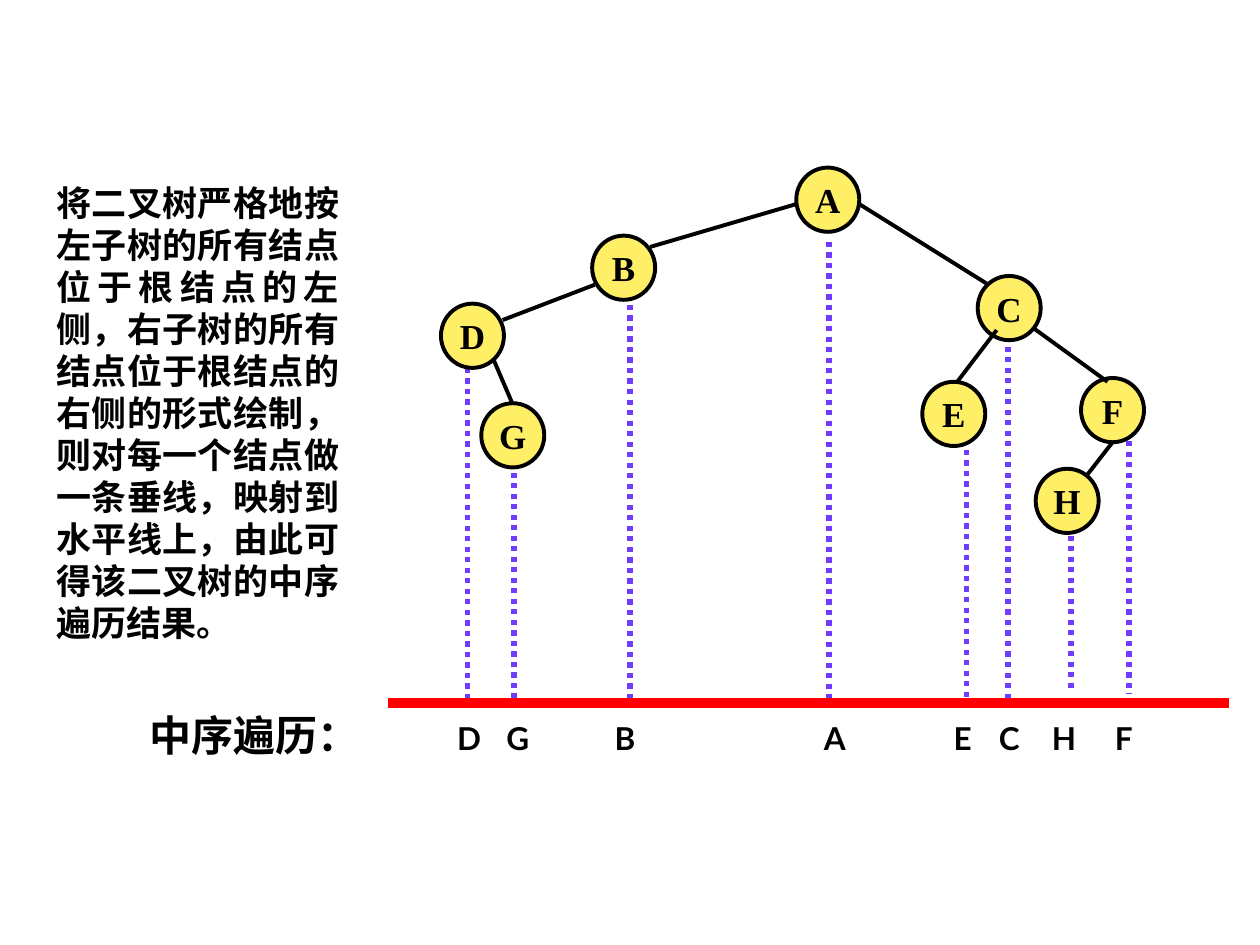
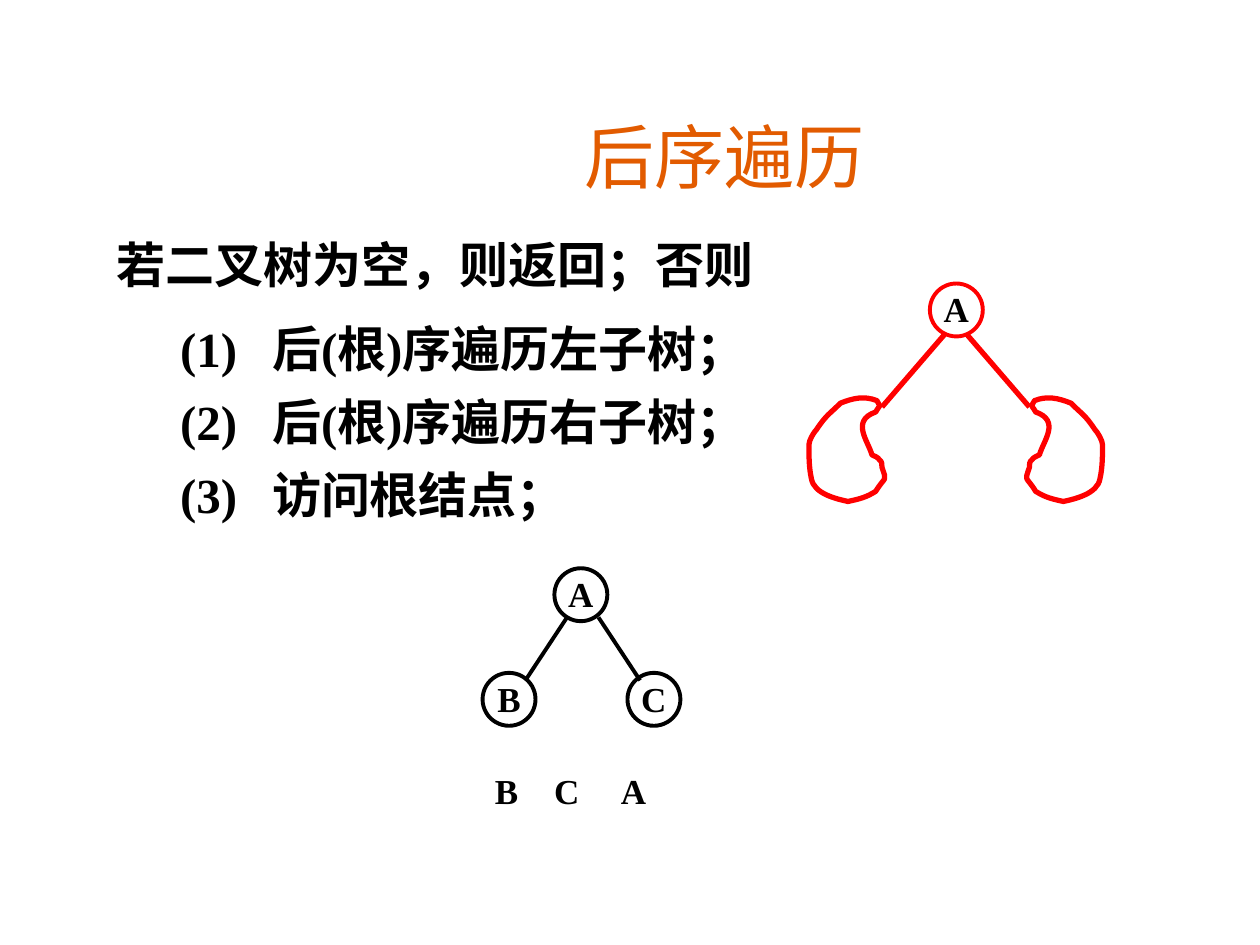
from lxml import etree
from pptx import Presentation
from pptx import util as u
from pptx.dml.color import RGBColor
from pptx.enum import dml, shapes, text
from pptx.oxml.ns import qn

PX = 9144  # EMU in one px: 100 px to the inch
BLACK = RGBColor(0x00, 0x00, 0x00)
RED = RGBColor(0xFF, 0x00, 0x00)
VIOLET = RGBColor(0x70, 0x3D, 0xFF)
YELLOW = RGBColor(0xFF, 0xEF, 0x66)
ORANGE = RGBColor(0xE2, 0x5B, 0x00)
SERIF, SANS, COMIC, CJK = "Times New Roman", "Lato", "Comic Neue", "Noto Sans CJK SC"

# Content of slide 1: inorder traversal by projection
EXPLANATION = ("将二叉树严格地按左子树的所有结点位于根结点的左侧，右子树的所有结点位于根结点的"
               "右侧的形式绘制，则对每一个结点做一条垂线，映射到水平线上，由此可得该二叉树的"
               "中序遍历结果。")
RESULT_TITLE = "中序遍历："
TREE_NODES = {"A": (632, 133), "B": (470, 187), "C": (776, 219), "D": (350, 241),
              "G": (382, 320), "E": (732, 303), "F": (858, 300), "H": (822, 372)}
TREE_EDGES = [(472, 226, 399, 254), (392, 286, 407, 321), (632, 162, 516, 196),
              (682, 162, 783, 225), (791, 262, 759, 304), (821, 261, 879, 303),
              (883, 351, 862, 378)]
# letter, left of its label, x of the dotted line, top and bottom of the line
PROJECTIONS = [("D", 353, 371, 292, 554), ("G", 392, 408, 375, 555),
               ("B", 478, 500, 242, 556), ("A", 644, 658, 192, 554),
               ("E", 747, 767, 357, 557), ("C", 783, 800, 275, 558),
               ("H", 825, 850, 425, 550), ("F", 875, 896, 350, 551)]

# Content of slide 2: postorder traversal
TITLE = "后序遍历"
CONDITION = "若二叉树为空，则返回；否则"
STEPS = ["(1)\t后(根)序遍历左子树；", "(2)\t后(根)序遍历右子树；", "(3)\t访问根结点；"]
SMALL_NODES = {"A": (440, 451), "B": (383, 534), "C": (498, 534)}
SMALL_EDGES = [(417, 540, 450, 490), (475, 490, 508, 540)]
VISIT_ORDER = "B\tC\tA"
ROOT = ("A", 738, 225)
BRANCH = (700, 323, 750, 265)
MIRROR = 1517  # x of the right subtree = MIRROR - x of the left one
SUBTREE_START = (696, 318)
SUBTREE_CURVES = [  # two control points and the end of each curve
    ((686, 314), (677, 316), (667, 320)), ((658, 329), (656, 329), (648, 341)),
    ((646, 343), (644, 347), (644, 347)), ((643, 349), (642, 351), (642, 353)),
    ((642, 362), (642, 371), (644, 380)), ((646, 392), (664, 396), (673, 398)),
    ((682, 396), (687, 395), (695, 390)), ((703, 377), (704, 383), (700, 371)),
    ((700, 369), (700, 366), (698, 365)), ((697, 363), (694, 362), (692, 361)),
    ((689, 350), (675, 334), (695, 327)), ((699, 320), (699, 324), (696, 318))]


def write(tf, paragraphs, *, size, font=SERIF, color=BLACK, bold=True, align=None,
          anchor=text.MSO_ANCHOR.TOP, wrap=True, gap=0, tabs=(), hang=None):
    """Fill a text frame with paragraphs in one format."""
    tf.word_wrap = wrap
    tf.auto_size = text.MSO_AUTO_SIZE.NONE
    tf.vertical_anchor = anchor
    for i, line in enumerate(paragraphs):
        p = tf.paragraphs[0] if i == 0 else tf.add_paragraph()
        p.text = line
        p.alignment = align
        p.space_before = u.Pt(gap if i else 0)
        pPr = p._p.get_or_add_pPr()
        pPr.set("hangingPunct", "0")
        if hang:
            pPr.set("marL", str(hang * PX))
            pPr.set("indent", str(-hang * PX))
            etree.SubElement(pPr, qn("a:buNone"))
        if tabs:
            tab_list = etree.SubElement(pPr, qn("a:tabLst"))
            for x in tabs:
                etree.SubElement(tab_list, qn("a:tab"), pos=str(x * PX), algn="l")
        for r in p.runs:
            r.font.size, r.font.bold, r.font.name = u.Pt(size), bold, font
            r.font.color.rgb = color


def place(sp, x, y, w, h):
    sp.left, sp.top, sp.width, sp.height = (v * PX for v in (x, y, w, h))


def add_text(s, box, content, **fmt):
    sp = s.shapes.add_textbox(*(v * PX for v in box))
    write(sp.text_frame, [content], **fmt)


def add_line(s, ends, color=BLACK, width=2.25, dash=None):
    cn = s.shapes.add_connector(shapes.MSO_CONNECTOR.STRAIGHT, *(v * PX for v in ends))
    cn.line.color.rgb = color
    cn.line.width = u.Pt(width)
    if dash:
        cn.line.dash_style = dash
    etree.SubElement(cn._element.spPr, qn("a:effectLst"))


def add_node(s, letter, x, y, w, h, fill=None, line=BLACK, lift=0):
    sp = s.shapes.add_shape(shapes.MSO_SHAPE.OVAL, *(v * PX for v in (x, y, w, h)))
    sp.shadow.inherit = False
    if fill is None:
        sp.fill.background()
    else:
        sp.fill.solid()
        sp.fill.fore_color.rgb = fill
    sp.line.color.rgb = line
    sp.line.width = u.Pt(2.25)
    tf = sp.text_frame
    tf.margin_top, tf.margin_bottom = 0, 2 * lift * PX
    write(tf, [letter], size=20, align=text.PP_ALIGN.CENTER,
          anchor=text.MSO_ANCHOR.MIDDLE, wrap=False)


def bend(sp):
    """Turn each three segments of a freeform into one cubic curve."""
    segments = list(sp._element.iter(qn("a:lnTo")))
    for i in range(0, len(segments), 3):
        curve = etree.Element(qn("a:cubicBezTo"))
        segments[i].addprevious(curve)
        for segment in segments[i:i + 3]:
            curve.append(segment[0])
            segment.getparent().remove(segment)


def add_subtree(s, flip):
    """Draw one subtree outline with its branch, mirrored when flip is true."""
    def across(x):
        return MIRROR - x if flip else x

    x, y = SUBTREE_START
    builder = s.shapes.build_freeform(across(x), y, scale=PX)
    builder.add_line_segments([(across(x), y) for curve in SUBTREE_CURVES for x, y in curve],
                              close=True)
    sp = builder.convert_to_shape()
    bend(sp)
    sp.shadow.inherit = False
    sp.fill.background()
    sp.line.color.rgb = RED
    sp.line.width = u.Pt(3)
    x1, y1, x2, y2 = BRANCH
    add_line(s, (across(x1), y1, across(x2), y2), RED, 3)


def build_inorder(prs):
    s = prs.slides.add_slide(prs.slide_layouts[6])
    # Projections onto the red line
    for letter, label_x, x, top, bottom in PROJECTIONS:
        add_line(s, (x, top, x, bottom), VIOLET, 3, dml.MSO_LINE.ROUND_DOT)
        add_text(s, (label_x, 566, 42, 40), letter, size=18, font=SANS)
    add_line(s, (308, 558, 975, 558), RED, 6)
    add_text(s, (109, 558, 186, 50), RESULT_TITLE, size=24, font=CJK,
             anchor=text.MSO_ANCHOR.MIDDLE, wrap=False)
    # Tree
    for letter, (x, y) in TREE_NODES.items():
        add_node(s, letter, x, y, 50, 51, fill=YELLOW)
    for edge in TREE_EDGES:
        add_line(s, edge)
    add_text(s, (35, 139, 244, 410), EXPLANATION, size=20, font=COMIC,
             align=text.PP_ALIGN.JUSTIFY)


def build_postorder(prs):
    s = prs.slides.add_slide(prs.slide_layouts[1])
    # Title and steps
    title, body = s.shapes.title, s.placeholders[1]
    place(title, 150, 37, 850, 125)
    write(title.text_frame, [TITLE], size=40, font=COMIC, color=ORANGE, bold=False,
          align=text.PP_ALIGN.CENTER, anchor=text.MSO_ANCHOR.BOTTOM)
    add_text(s, (83, 181, 575, 57), CONDITION, size=28)
    place(body, 133, 248, 517, 173)
    write(body.text_frame, STEPS, size=28, gap=8, hang=73)
    # Root with two subtrees
    for flip in (False, True):
        add_subtree(s, flip)
    add_node(s, *ROOT, 42, 42, line=RED, lift=1)
    # Small tree and its visiting order
    for letter, (x, y) in SMALL_NODES.items():
        add_node(s, letter, x, y, 42, 42, lift=1)
    for edge in SMALL_EDGES:
        add_line(s, edge)
    add_text(s, (383, 606, 283, 44), VISIT_ORDER, size=20, tabs=[47, 100])


def main():
    prs = Presentation()
    prs.slide_width, prs.slide_height = 1000 * PX, 750 * PX
    build_inorder(prs)
    build_postorder(prs)
    prs.save("out.pptx")


if __name__ == "__main__":
    main()
